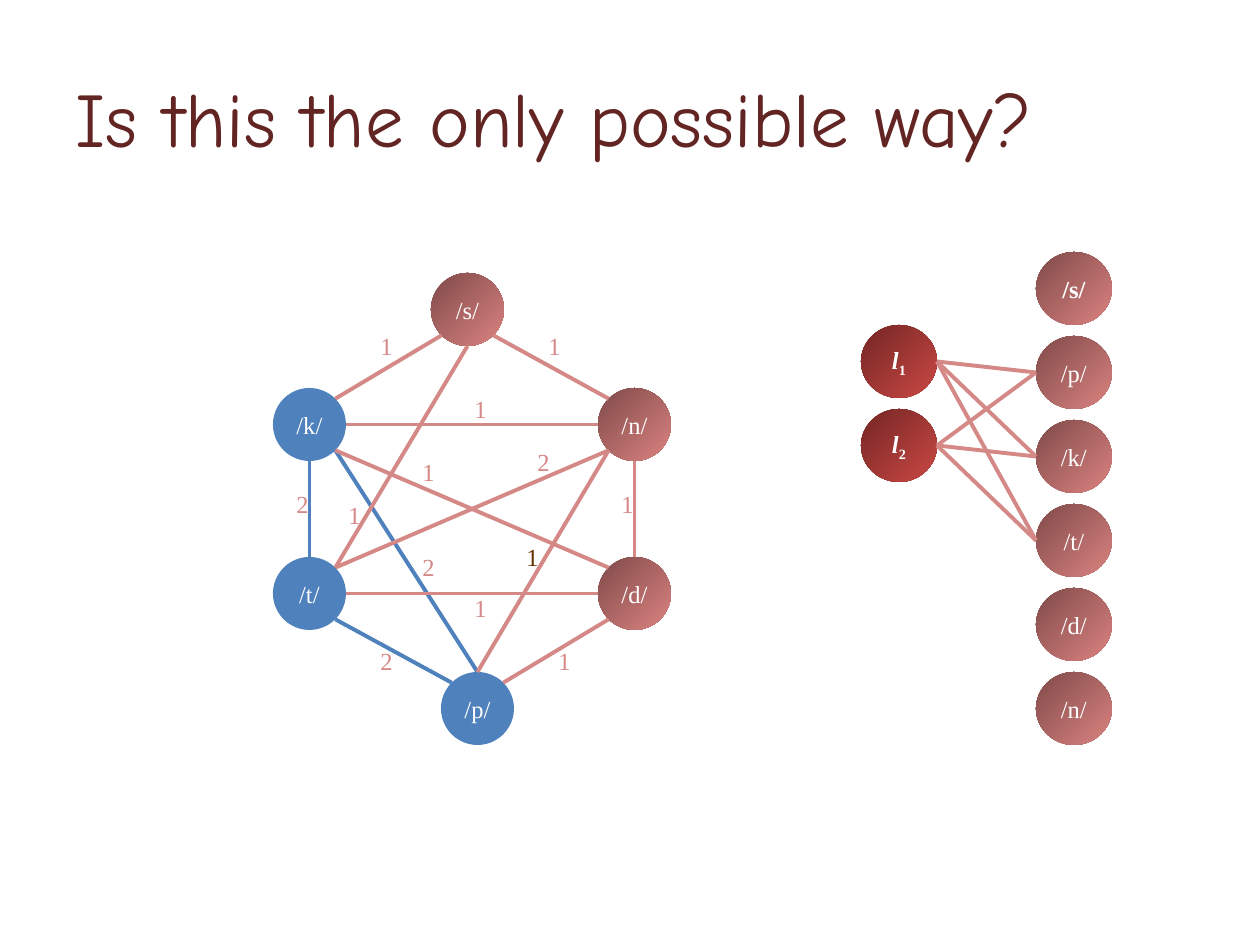
import math
from dataclasses import dataclass

from lxml import etree
from pptx import Presentation, util as u
from pptx.dml.color import RGBColor
from pptx.enum import shapes, text
from pptx.oxml import ns

SCALE = 914400 / 126
COMPASS = ["E", "SE", "S", "SW", "W", "NW", "N", "NE"]


@dataclass(frozen=True)
class Theme:
    title: str = "632523"
    rose: str = "D58987"
    blue: str = "4F81BD"
    brown: str = "663300"
    white: str = "FFFFFF"
    sound: tuple = ("7F4A49", "DB8381")
    language: tuple = ("742624", "C94844")
    title_font: str = "Comic Neue"
    body_font: str = "Times New Roman"
    title_size: int = 44
    body_size: int = 14
    line_width: float = 2.25


def px(value):
    return u.Emu(round(value * SCALE))


def site(node, direction):
    angle = math.radians(45 * COMPASS.index(direction))
    return (
        round(node.left + node.width / 2 * (1 + math.cos(angle))),
        round(node.top + node.height / 2 * (1 + math.sin(angle))),
    )


class Sketch:
    def __init__(self, page, theme):
        self.page = page
        self.theme = theme

    def style(self, para, color, size=None, name=None, bold=False):
        font = para.font
        font.size = u.Pt(size or self.theme.body_size)
        font.name = name or self.theme.body_font
        font.bold = bold
        font.color.rgb = RGBColor.from_string(color)

    def label(self, words, left, top, width, height, color, size=None, name=None,
              anchor=text.MSO_ANCHOR.TOP):
        box = self.page.shapes.add_textbox(px(left), px(top), px(width), px(height))
        frame = box.text_frame
        frame.word_wrap = True
        frame.vertical_anchor = anchor
        para = frame.paragraphs[0]
        para.text = words
        self.style(para, color, size, name)

    def node(self, words, left, top, width, height, fill, bold=False, subscript=None):
        circle = self.page.shapes.add_shape(
            shapes.MSO_SHAPE.OVAL, px(left), px(top), px(width), px(height))
        circle.shadow.inherit = False
        circle.line.fill.background()
        if isinstance(fill, tuple):
            circle.fill.gradient()
            circle.fill.gradient_angle = 315
            for stop, color in zip(circle.fill.gradient_stops, fill):
                stop.color.rgb = RGBColor.from_string(color)
        else:
            circle.fill.solid()
            circle.fill.fore_color.rgb = RGBColor.from_string(fill)
        frame = circle.text_frame
        frame.vertical_anchor = text.MSO_ANCHOR.MIDDLE
        para = frame.paragraphs[0]
        para.alignment = text.PP_ALIGN.CENTER
        span = para.add_run()
        span.text = words
        if subscript:
            span.font.italic = True
            index = para.add_run()
            index.text = subscript
            index._r.get_or_add_rPr().set("baseline", "-25000")
        self.style(para, self.theme.white, bold=bold)
        return circle

    def edge(self, first, first_side, second, second_side, color):
        line = self.page.shapes.add_connector(
            shapes.MSO_CONNECTOR.STRAIGHT,
            *site(first, first_side), *site(second, second_side))
        line.line.color.rgb = RGBColor.from_string(color)
        line.line.width = u.Pt(self.theme.line_width)
        etree.SubElement(line._element.spPr, ns.qn("a:effectLst"))


def draw_network(sketch):
    theme = sketch.theme
    places = {"s": (431, 273), "n": (598, 388), "k": (273, 388),
              "p": (441, 672), "t": (273, 557), "d": (598, 557)}
    cluster = set("kpt")
    nodes = {
        name: sketch.node(f"/{name}/", *place, 73, 73,
                          theme.blue if name in cluster else theme.sound)
        for name, place in places.items()
    }
    edges = [
        ("s", "SW", "k", "NE"), ("p", "N", "k", "SE"), ("p", "NW", "t", "SE"),
        ("s", "SE", "n", "NW"), ("k", "S", "t", "N"), ("p", "NE", "d", "SW"),
        ("d", "N", "n", "S"), ("p", "N", "n", "SW"), ("k", "E", "n", "W"),
        ("t", "NE", "n", "SW"), ("t", "E", "d", "W"), ("d", "NW", "k", "SE"),
        ("t", "NE", "s", "S"),
    ]
    for first, first_side, second, second_side in edges:
        color = theme.blue if {first, second} <= cluster else theme.rose
        sketch.edge(nodes[first], first_side, nodes[second], second_side, color)

    weights = {
        "1": [(410, 451), (368, 325), (536, 325), (609, 483), (462, 388),
              (546, 640), (336, 494), (462, 587)],
        "2": [(410, 546), (284, 483), (368, 640), (525, 441)],
    }
    for weight, spots in weights.items():
        for left, top in spots:
            sketch.label(weight, left, top, 63, 43, theme.rose)
    sketch.label("1", 514, 536, 63, 43, theme.brown)


def draw_bipartite(sketch):
    theme = sketch.theme
    width, height, step = 76, 73, 84
    languages = [
        sketch.node("l", 861, 325 + step * row, width, height, theme.language,
                    bold=True, subscript=str(row + 1))
        for row in range(2)
    ]
    sounds = {
        name: sketch.node(f"/{name}/", 1036, 252 + step * row, width, height,
                          theme.sound, bold=name == "s")
        for row, name in enumerate("spktdn")
    }
    for language in languages:
        for name in "pkt":
            sketch.edge(language, "E", sounds[name], "W", theme.rose)


def main():
    deck = Presentation()
    deck.slide_width, deck.slide_height = px(1260), px(945)
    page = deck.slides.add_slide(deck.slide_layouts[6])
    theme = Theme()
    sketch = Sketch(page, theme)
    sketch.label("Is this the only possible way?", 63, 38, 1134, 158, theme.title,
                 theme.title_size, theme.title_font, text.MSO_ANCHOR.MIDDLE)
    draw_network(sketch)
    draw_bipartite(sketch)
    deck.save("out.pptx")


if __name__ == "__main__":
    main()
